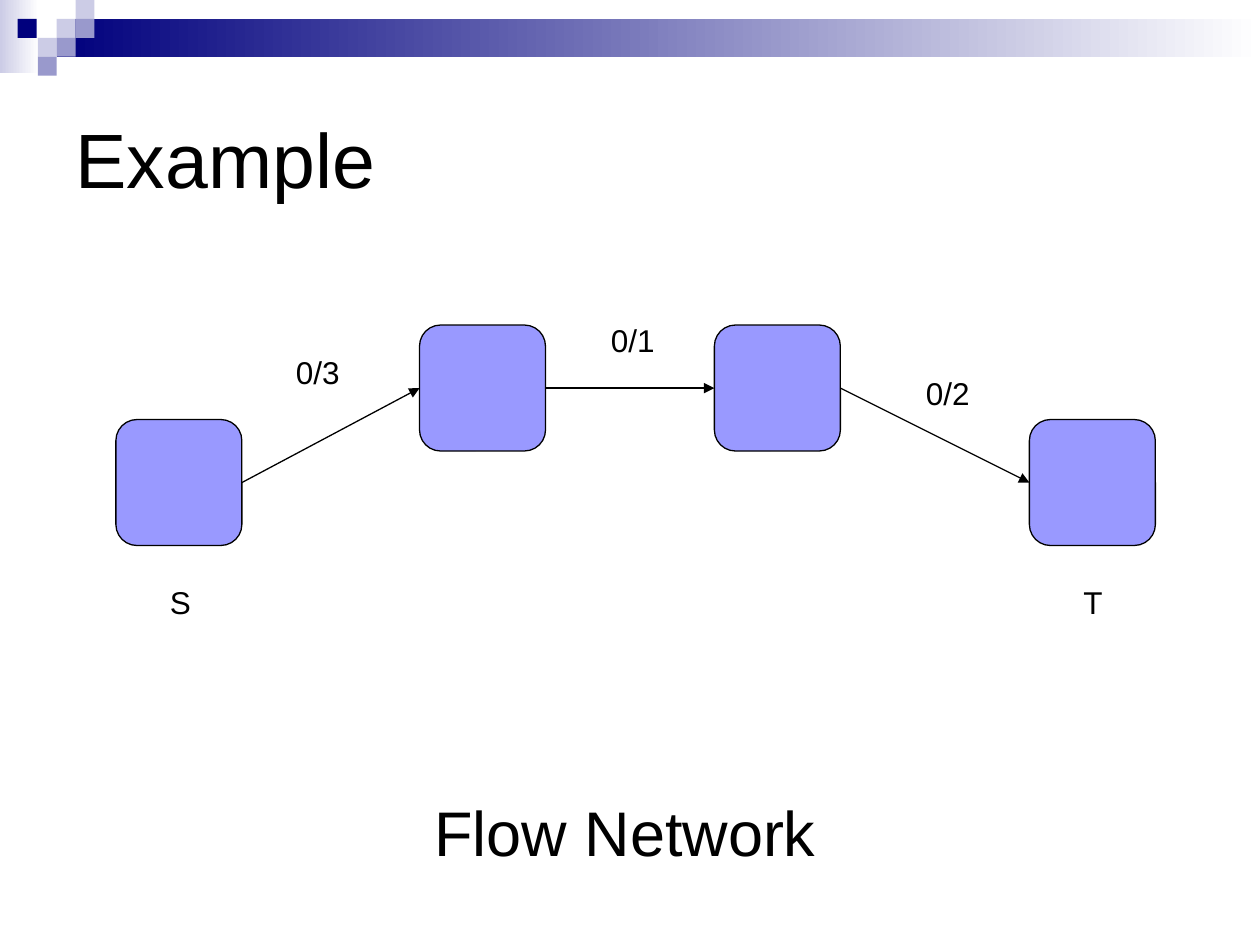
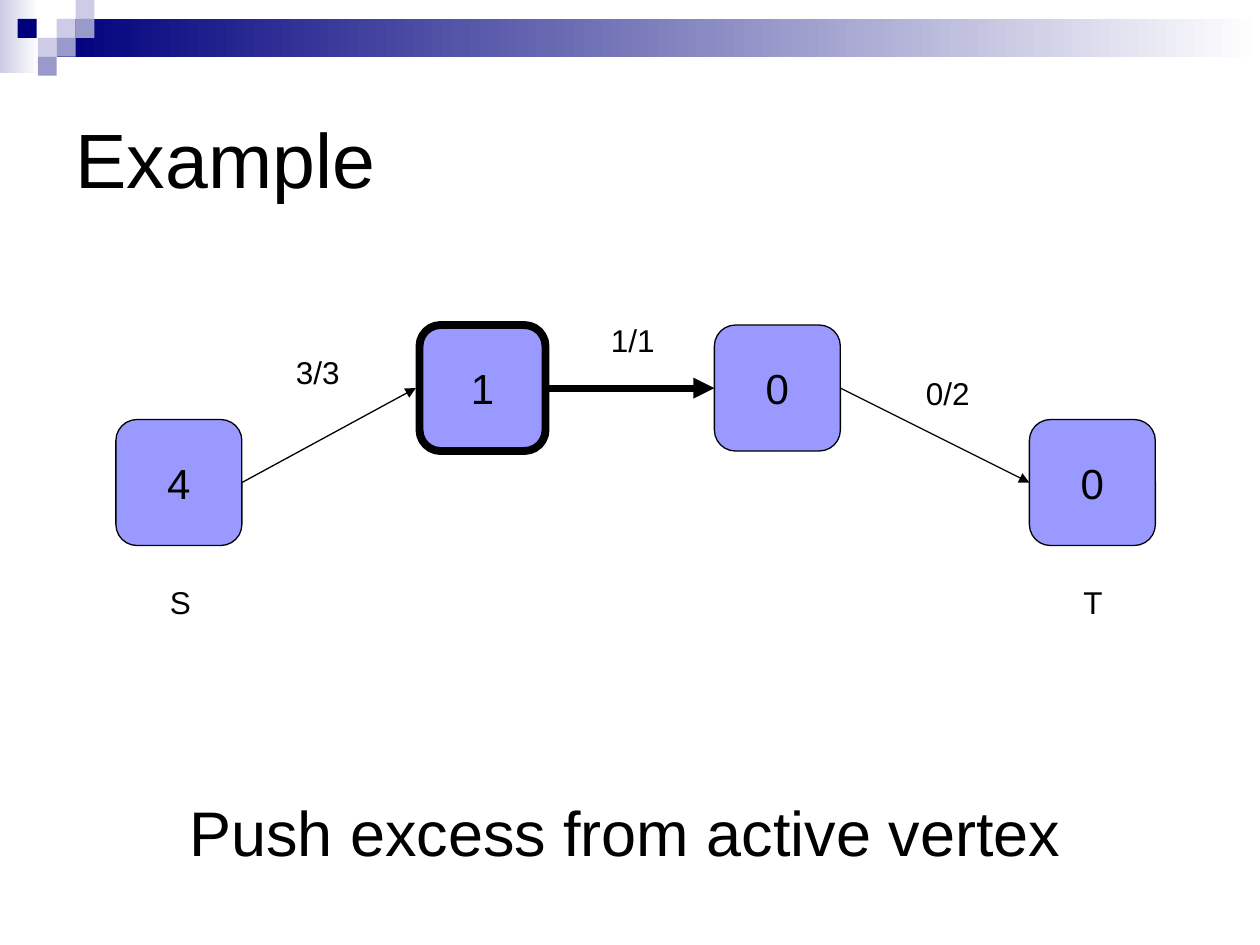
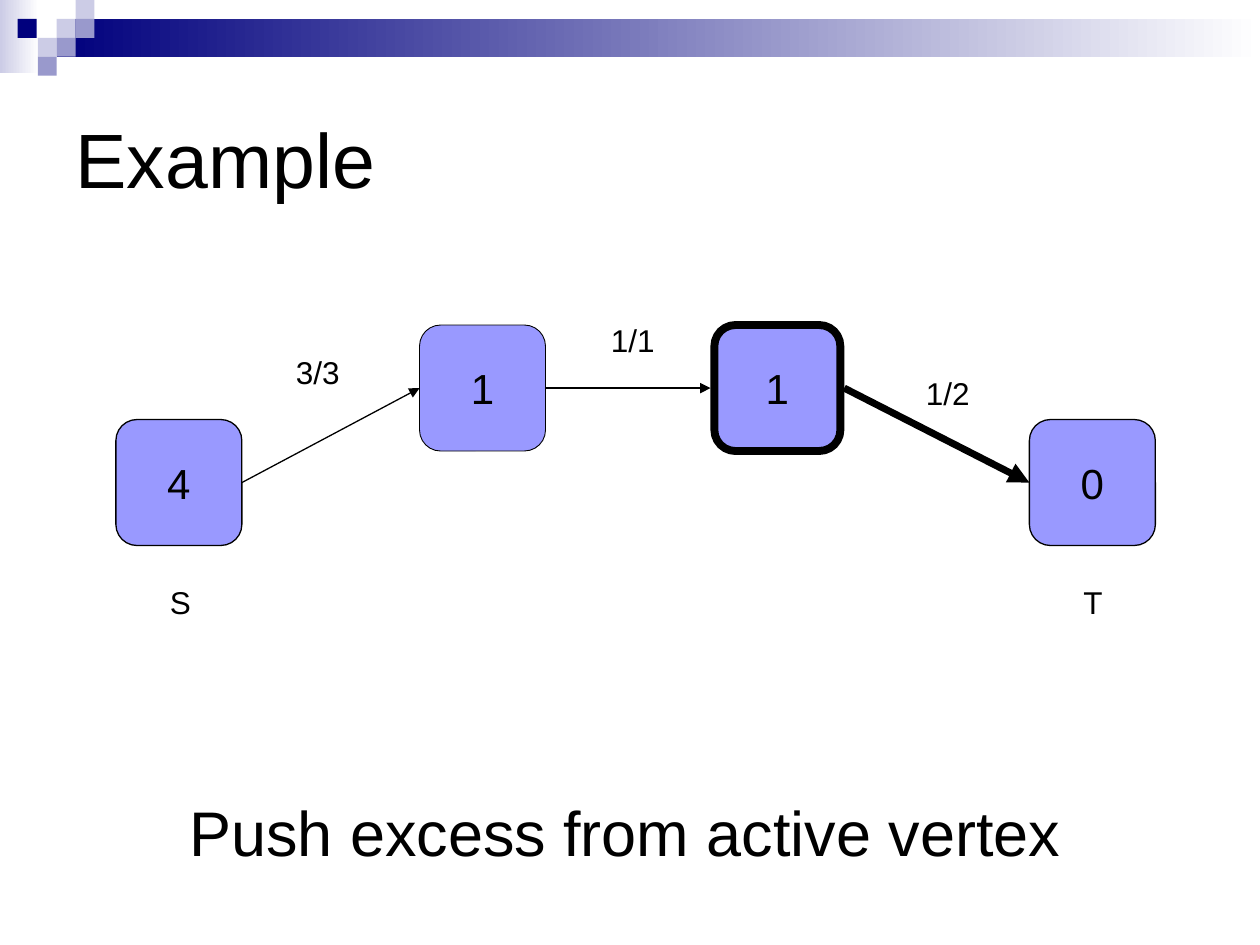
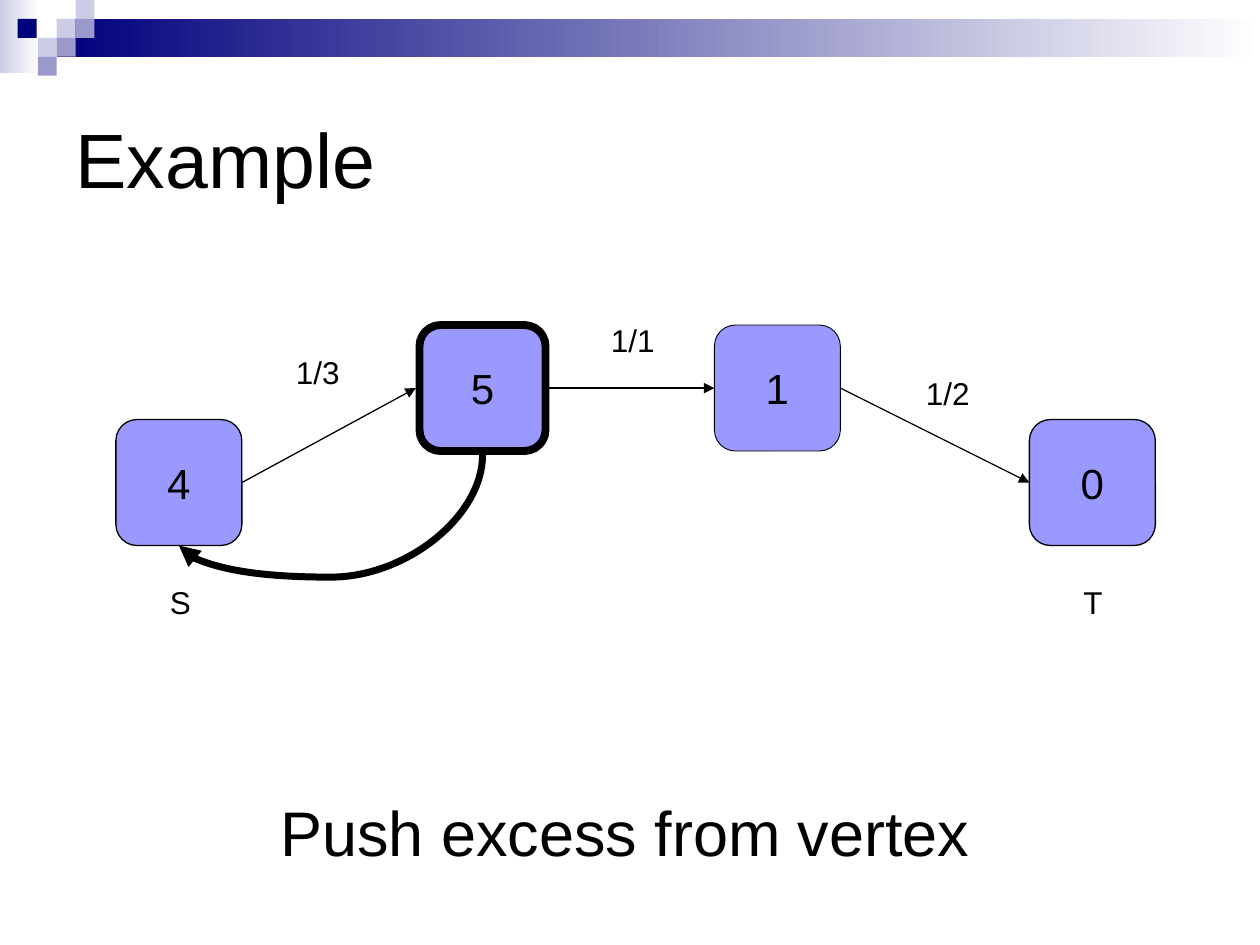
from dataclasses import dataclass

from lxml import etree
from pptx import Presentation
from pptx.dml.color import RGBColor
from pptx.enum.shapes import MSO_CONNECTOR, MSO_SHAPE
from pptx.enum.text import MSO_ANCHOR, MSO_AUTO_SIZE, PP_ALIGN
from pptx.oxml.ns import qn
from pptx.util import Inches, Pt

STRAIGHT, CURVE = MSO_CONNECTOR.STRAIGHT, MSO_CONNECTOR.CURVE
RECT, ROUNDED = MSO_SHAPE.RECTANGLE, MSO_SHAPE.ROUNDED_RECTANGLE
MIDDLE = MSO_ANCHOR.MIDDLE
LEFT, CENTER = PP_ALIGN.LEFT, PP_ALIGN.CENTER
FIT_SHAPE = MSO_AUTO_SIZE.SHAPE_TO_FIT_TEXT

BLACK = RGBColor(0x00, 0x00, 0x00)
WHITE = RGBColor(0xFF, 0xFF, 0xFF)
NAVY = RGBColor(0x00, 0x00, 0x7D)
PALE = RGBColor(0xCC, 0xCC, 0xE6)
MUTED = RGBColor(0x99, 0x99, 0xCC)
NODE_FILL = RGBColor(0x99, 0x99, 0xFF)

FONT = "Arial"
TITLE_ONLY = 5
RIGHT_SIDE, LEFT_SIDE = 3, 1
NODE_SIZE = 1.0
THIN, THIN_ARROW = 0.75, 0.75
HAIR, THICK, THICK_ARROW = 0.5, 4.5, 4.0
BORDER_GAP = 0.03  # half of a thick border
PIXEL = 0.15


@dataclass(frozen=True)
class Block:
    left: float
    top: float
    color: RGBColor
    width: float = PIXEL
    height: float = PIXEL
    fades: bool = False


@dataclass(frozen=True)
class Label:
    text: str
    left: float
    top: float
    width: float
    height: float = 0.4
    size: float = 18
    align: PP_ALIGN = LEFT
    wrap: bool = False


@dataclass(frozen=True)
class Step:
    caption: str
    flows: tuple[str, str, str]
    excess: tuple[str, str, str, str] = ("", "", "", "")
    borders: tuple[float, float, float, float] = (THIN,) * 4
    thick_edge: int | None = None
    pushes_back: bool = False


BAND = (
    Block(0, 0, PALE, 0.31, 0.58, fades=True),
    Block(0.45, 0.15, NAVY, 9.55, 0.3, fades=True),
    Block(0.45, 0.15, PALE),
    Block(0.6, 0, PALE),
    Block(0.6, 0.15, MUTED),
    Block(0.3, 0.3, PALE),
    Block(0.14, 0.15, NAVY),
    Block(0.45, 0.3, MUTED),
    Block(0.3, 0.45, MUTED),
)

NODES = ((0.92, 3.33), (3.33, 2.58), (5.67, 2.58), (8.17, 3.33))
FLOW_SPOTS = ((2.25, 2.75), (4.75, 2.5), (7.25, 2.92))
TERMINALS = (Label("S", 1.25, 4.58, 0.37), Label("T", 8.5, 4.58, 0.35))

STEPS = (
    Step("Flow Network", ("0/3", "0/1", "0/2")),
    Step("Push excess from active vertex", ("3/3", "1/1", "0/2"),
         ("4", "1", "0", "0"), (THIN, THICK, THIN, THIN), thick_edge=1),
    Step("Push excess from active vertex", ("3/3", "1/1", "1/2"),
         ("4", "1", "1", "0"), (THIN, HAIR, THICK, THIN), thick_edge=2),
    Step("Push excess from vertex", ("1/3", "1/1", "1/2"),
         ("4", "5", "1", "0"), (THIN, THICK, HAIR, THIN), pushes_back=True),
)


def style_text(p, size: float, align: PP_ALIGN) -> None:
    p.alignment = align
    p.font.name = FONT
    p.font.size = Pt(size)
    p.font.color.rgb = BLACK


def add_block(slide, block: Block):
    sp = slide.shapes.add_shape(RECT, Inches(block.left), Inches(block.top),
                                Inches(block.width), Inches(block.height))
    sp.shadow.inherit = False
    sp.line.fill.background()
    if block.fades:
        sp.fill.gradient()
        sp.fill.gradient_angle = 0
        for stop, color in zip(sp.fill.gradient_stops, (block.color, WHITE)):
            stop.color.rgb = color
    else:
        sp.fill.solid()
        sp.fill.fore_color.rgb = block.color
    return sp


def move_band_to_layout(slide) -> None:
    """Draw the band once and hand it to the layout, behind its placeholders."""
    tree = slide.slide_layout.shapes.element
    for i, block in enumerate(BAND):
        element = add_block(slide, block).element
        element.find(".//" + qn("p:cNvPr")).set("id", str(100 + i))
        tree.insert(2 + i, element)


def add_title(slide, text: str) -> None:
    title = slide.shapes.title
    title.left, title.top = Inches(0.5), Inches(0.5)
    title.width, title.height = Inches(9), Inches(1.5)
    tf = title.text_frame
    tf.text = text
    tf.vertical_anchor = MIDDLE
    style_text(tf.paragraphs[0], 44, LEFT)


def add_label(slide, label: Label) -> None:
    tf = slide.shapes.add_textbox(Inches(label.left), Inches(label.top),
                                  Inches(label.width), Inches(label.height)).text_frame
    tf.word_wrap = label.wrap
    tf.auto_size = FIT_SHAPE
    tf.text = label.text
    style_text(tf.paragraphs[0], label.size, label.align)


def add_node(slide, left: float, top: float, text: str, border: float):
    sp = slide.shapes.add_shape(ROUNDED, Inches(left), Inches(top),
                                Inches(NODE_SIZE), Inches(NODE_SIZE))
    sp.adjustments[0] = 0.167
    sp.shadow.inherit = False
    sp.fill.solid()
    sp.fill.fore_color.rgb = NODE_FILL
    sp.line.color.rgb = BLACK
    sp.line.width = Pt(border)
    if text:
        tf = sp.text_frame
        tf.text = text
        tf.word_wrap = False
        tf.vertical_anchor = MIDDLE
        style_text(tf.paragraphs[0], 24, CENTER)
    return sp


def style_arrow(connector, width: float) -> None:
    connector.line.color.rgb = BLACK
    connector.line.width = Pt(width)
    etree.SubElement(connector.line._get_or_add_ln(), qn("a:tailEnd"), type="triangle")
    etree.SubElement(connector.element.spPr, qn("a:effectLst"))


def add_edge(slide, source, target, width: float) -> None:
    edge = slide.shapes.add_connector(STRAIGHT, 0, 0, 0, 0)
    edge.begin_connect(source, RIGHT_SIDE)
    edge.end_connect(target, LEFT_SIDE)
    # Stop at the outside of a thick border
    if source.line.width == Pt(THICK):
        edge.begin_x += Inches(BORDER_GAP)
    if target.line.width == Pt(THICK):
        edge.end_x -= Inches(BORDER_GAP)
    style_arrow(edge, width)


def add_back_push(slide) -> None:
    """Curve from below the second node to below the first one."""
    (end_left, end_top), (start_left, start_top) = NODES[:2]
    start_x, end_x = start_left + NODE_SIZE / 2, end_left + NODE_SIZE / 2
    start_y, end_y = start_top + NODE_SIZE + BORDER_GAP, end_top + NODE_SIZE
    # The frame is laid out upright, then turned a quarter about its centre
    mid_x, mid_y = (start_x + end_x) / 2, (start_y + end_y) / 2
    half_w, half_h = (end_y - start_y) / 2, (start_x - end_x) / 2
    curve = slide.shapes.add_connector(
        CURVE, Inches(mid_x - half_w), Inches(mid_y - half_h),
        Inches(mid_x + half_w), Inches(mid_y + half_h))
    sp_pr = curve.element.spPr
    sp_pr.find(qn("a:xfrm")).set("rot", str(90 * 60000))
    guides = sp_pr.find(qn("a:prstGeom")).find(qn("a:avLst"))
    etree.SubElement(guides, qn("a:gd"), name="adj1", fmla="val 134800")
    style_arrow(curve, THICK_ARROW)


def add_step(slide, step: Step) -> None:
    add_title(slide, "Example")
    # Network
    nodes = [add_node(slide, left, top, text, border)
             for (left, top), text, border in zip(NODES, step.excess, step.borders)]
    for i, (source, target) in enumerate(zip(nodes, nodes[1:])):
        add_edge(slide, source, target,
                 THICK_ARROW if i == step.thick_edge else THIN_ARROW)
    # Labels
    for (left, top), flow in zip(FLOW_SPOTS, step.flows):
        add_label(slide, Label(flow, left, top, 0.55))
    add_label(slide, Label(step.caption, 1, 6.25, 7.92, 0.7, 36, CENTER, wrap=True))
    for terminal in TERMINALS:
        add_label(slide, terminal)
    if step.pushes_back:
        add_back_push(slide)


def main() -> None:
    prs = Presentation()
    prs.slide_width, prs.slide_height = Inches(10), Inches(7.5)
    layout = prs.slide_layouts[TITLE_ONLY]
    for i, step in enumerate(STEPS):
        slide = prs.slides.add_slide(layout)
        if i == 0:
            move_band_to_layout(slide)
        add_step(slide, step)
    prs.save("out.pptx")


if __name__ == "__main__":
    main()
